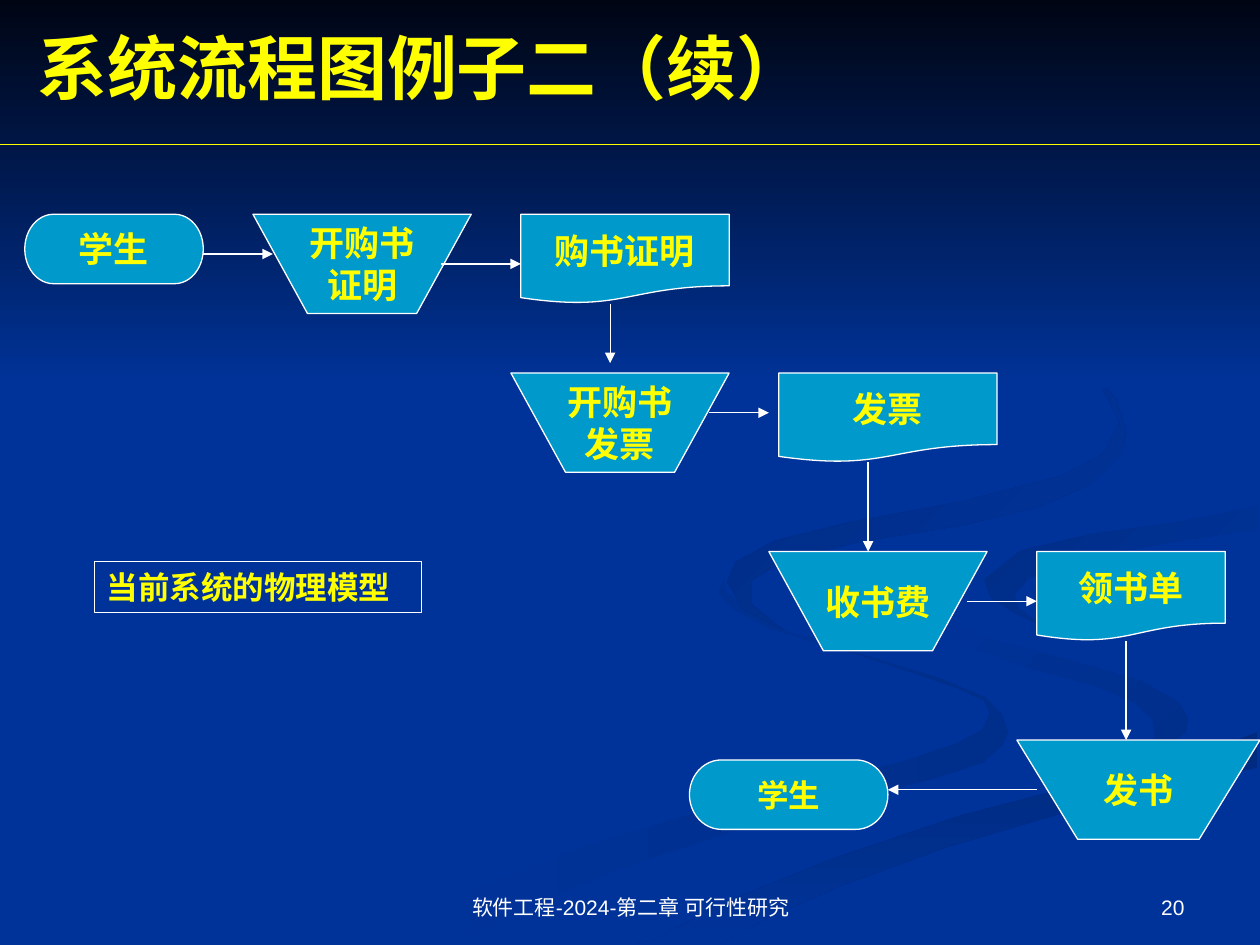
from lxml.etree import SubElement
from pptx import Presentation
from pptx.dml.color import RGBColor
from pptx.enum.shapes import MSO_CONNECTOR, MSO_SHAPE
from pptx.enum.text import MSO_ANCHOR, MSO_AUTO_SIZE, PP_ALIGN
from pptx.oxml.ns import qn
from pptx.util import Cm, Pt

NAVY = RGBColor(0x00, 0x33, 0x99)
MIDNIGHT = RGBColor(0x00, 0x05, 0x14)
CYAN = RGBColor(0x00, 0x99, 0xCC)
YELLOW = RGBColor(0xFF, 0xFF, 0x00)
WHITE = RGBColor(0xFF, 0xFF, 0xFF)
SHADE_WEST = RGBColor(0x00, 0x2E, 0x8B)
SHADE_SOUTH = RGBColor(0x00, 0x2A, 0x7D)
SHADE_EAST = RGBColor(0x00, 0x2D, 0x86)
SHADE_NORTH = RGBColor(0x00, 0x2B, 0x82)

SERIF, SANS = "Times New Roman", "Arial"
WIDTH, HEIGHT = 25.4, 19.05
THIN = Pt(0.75)

# Ribbons of the backdrop: first colour, last colour, clockwise angle, outline in cm
RIBBONS = [
    (NAVY, SHADE_WEST, 0, [
        (19.84, 14.05), (18.92, 13.67), (17.32, 13.18), (15.9, 12.75), (15.09, 12.32),
        (14.63, 11.91), (14.6, 11.66), (14.48, 11.94), (14.76, 12.27), (15.52, 12.67),
        (17.25, 13.18), (18.49, 13.59), (19.35, 13.89), (19.84, 14.12), (19.96, 14.38),
        (19.81, 14.71), (19.28, 14.99), (18.14, 15.37), (15.65, 15.98), (13.69, 16.48),
        (11.63, 17.12), (9.55, 17.96), (7.62, 19.02), (9.17, 19.02), (10.95, 18.14),
        (12.67, 17.45), (15.09, 16.66), (17.17, 16.1), (18.8, 15.7), (19.81, 15.37),
        (20.19, 15.04), (20.32, 14.76), (20.19, 14.4)]),
    (NAVY, SHADE_WEST, 45, [
        (23.95, 14.48), (23.75, 14.15), (22.99, 13.72), (21.59, 13.31), (20.12, 12.93),
        (18.92, 12.45), (18.39, 11.79), (18.62, 12.4), (19.46, 13), (20.7, 13.46),
        (22.05, 13.82), (22.86, 14.15), (23.24, 14.5), (23.29, 14.86), (22.71, 15.37),
        (23.5, 15.06), (23.9, 14.76)]),
    (SHADE_SOUTH, NAVY, 90, [
        (12.78, 19.02), (14.5, 19.02), (15.6, 18.44), (17.02, 17.83), (19.1, 17.07),
        (21.87, 16.26), (25.35, 15.47), (25.35, 14.76), (24.46, 15.09), (22.02, 15.75),
        (19.41, 16.43), (16.81, 17.3), (14.45, 18.26), (13.18, 18.97)]),
    (SHADE_EAST, NAVY, 45, [
        (19.84, 11.68), (19.96, 12.04), (20.47, 12.37), (20.98, 12.6), (20.55, 12.27),
        (20.45, 11.99), (20.73, 11.66), (21.82, 11.25), (23.77, 10.9), (25.35, 10.67),
        (25.35, 10.21), (23.7, 10.54), (21.97, 10.77), (20.57, 11.1)]),
    (SHADE_NORTH, NAVY, 45, [
        (17.35, 10.92), (19.41, 10.59), (20.96, 10.21), (22.02, 9.75), (22.58, 9.19),
        (22.71, 8.74), (22.5, 8.03), (21.69, 7.19), (20.57, 6.5), (19.35, 5.92),
        (20.98, 6.76), (22.1, 7.59), (22.58, 8.51), (22.25, 9.14), (21.39, 9.6),
        (19.38, 10.11), (17.17, 10.52), (15.62, 10.9), (14.83, 11.33), (14.66, 11.73),
        (14.99, 12.29), (15.8, 12.7), (15.16, 12.19), (15.14, 11.71), (15.85, 11.28)]),
]

# Steps of the flow: kind, label, left, top, width, height in cm, text size
STEPS = [
    ("person", "学生", (0.5, 4.32, 3.6, 1.4), 20),
    ("person", "学生", (13.9, 15.32, 4, 1.4), 18),
    ("manual", "开购书\n证明", (5.1, 4.32, 4.4, 2), 20),
    ("document", "购书证明", (10.5, 4.32, 4.2, 1.8), 20),
    ("manual", "开购书\n发票", (10.3, 7.52, 4.4, 2), 20),
    ("document", "发票", (15.7, 7.52, 4.4, 1.8), 20),
    ("manual", "收书费", (15.5, 11.12, 4.4, 2), 20),
    ("document", "领书单", (20.9, 11.12, 3.8, 1.8), 20),
    ("manual", "发书", (20.5, 14.92, 4.9, 2), 20),
]
PRESETS = {"person": MSO_SHAPE.FLOWCHART_TERMINATOR,
           "document": MSO_SHAPE.FLOWCHART_DOCUMENT}

# Arrows: start x, start y, end x, end y in cm
ARROWS = [
    (4.1, 5.12, 5.5, 5.12), (8.9, 5.32, 10.5, 5.32), (12.3, 6.12, 12.3, 7.32),
    (14.3, 8.32, 15.5, 8.32), (17.5, 9.32, 17.5, 11.12), (19.5, 12.12, 20.9, 12.12),
    (22.7, 12.92, 22.7, 14.92), (20.9, 15.92, 17.9, 15.92),
]


def write(frame, text, size, color, font=SERIF, bold=True, align=PP_ALIGN.CENTER,
          anchor=MSO_ANCHOR.MIDDLE, wrap=True):
    frame.text = text
    frame.word_wrap = wrap
    frame.auto_size = MSO_AUTO_SIZE.NONE
    frame.vertical_anchor = anchor
    for paragraph in frame.paragraphs:
        paragraph.alignment = align
        paragraph.font.name = font
        paragraph.font.size = Pt(size)
        paragraph.font.bold = bold
        paragraph.font.color.rgb = color


def add_outline(slide, points):
    """Draw a closed polygon through points in cm."""
    start, *rest = [(Cm(x), Cm(y)) for x, y in points]
    builder = slide.shapes.build_freeform(*start)
    builder.add_line_segments(rest, close=True)
    shape = builder.convert_to_shape()
    shape.shadow.inherit = False
    return shape


def shade(shape, first, last, angle):
    shape.fill.gradient()
    shape.fill.gradient_angle = (360 - angle) % 360
    for stop, color in zip(shape.fill.gradient_stops, (first, last)):
        stop.color.rgb = color
    shape.line.fill.background()


def add_backdrop(slide):
    slide.background.fill.solid()
    slide.background.fill.fore_color.rgb = NAVY
    for first, last, angle, points in RIBBONS:
        shade(add_outline(slide, points), first, last, angle)
    sky = slide.shapes.add_shape(MSO_SHAPE.RECTANGLE, 0, 0, Cm(WIDTH), Cm(7.82))
    sky.shadow.inherit = False
    shade(sky, MIDNIGHT, NAVY, 90)


def add_line(slide, x1, y1, x2, y2, color):
    line = slide.shapes.add_connector(MSO_CONNECTOR.STRAIGHT, Cm(x1), Cm(y1), Cm(x2), Cm(y2))
    line.line.color.rgb = color
    line.line.width = THIN
    SubElement(line._element.spPr, qn("a:effectLst"))
    return line


def add_arrow(slide, x1, y1, x2, y2):
    arrow = add_line(slide, x1, y1, x2, y2, WHITE)
    SubElement(arrow.line._get_or_add_ln(), qn("a:tailEnd"), type="triangle")


def add_title(slide, text, left, top, width, height):
    title = slide.shapes.title
    title.left, title.top, title.width, title.height = map(Cm, (left, top, width, height))
    write(title.text_frame, text, 40, YELLOW, align=PP_ALIGN.LEFT)
    # The placeholder comes first on the slide; bring it in front of the backdrop
    title._element.getparent().append(title._element)
    add_line(slide, 0, 2.92, WIDTH, 2.92, YELLOW)


def add_step(slide, kind, label, box, size):
    left, top, width, height = box
    if kind == "manual":
        inset, right, bottom = width / 4, left + width, top + height
        step = add_outline(slide, [(left, top), (left + inset, bottom),
                                   (right - inset, bottom), (right, top)])
    else:
        step = slide.shapes.add_shape(PRESETS[kind], *map(Cm, box))
        step.shadow.inherit = False
    step.fill.solid()
    step.fill.fore_color.rgb = CYAN
    step.line.color.rgb = WHITE
    step.line.width = THIN
    write(step.text_frame, label, size, YELLOW, wrap=False)


def add_caption(slide, text, *box):
    caption = slide.shapes.add_shape(MSO_SHAPE.RECTANGLE, *map(Cm, box))
    caption.shadow.inherit = False
    caption.fill.background()
    caption.line.color.rgb = WHITE
    caption.line.width = THIN
    write(caption.text_frame, text, 18, YELLOW, align=PP_ALIGN.LEFT)


def add_footer(slide, top, height):
    for text, left, width, align in (
            ("软件工程-2024-第二章 可行性研究", 8.69, 8.05, PP_ALIGN.CENTER),
            ("20", 18.21, 5.92, PP_ALIGN.RIGHT)):
        note = slide.shapes.add_textbox(Cm(left), Cm(top), Cm(width), Cm(height))
        write(note.text_frame, text, 12, WHITE, SANS, False, align, MSO_ANCHOR.BOTTOM)


def main():
    deck = Presentation()
    deck.slide_width, deck.slide_height = Cm(WIDTH), Cm(HEIGHT)
    slide = deck.slides.add_slide(deck.slide_layouts[5])
    add_backdrop(slide)
    add_title(slide, "系统流程图例子二（续）", 0.5, 0.36, 22.86, 1.96)
    for step in STEPS:
        add_step(slide, *step)
    for arrow in ARROWS:
        add_arrow(slide, *arrow)
    add_caption(slide, "当前系统的物理模型", 1.9, 11.32, 6.6, 1.03)
    add_footer(slide, 17.35, 1.32)
    deck.save("out.pptx")


if __name__ == "__main__":
    main()
